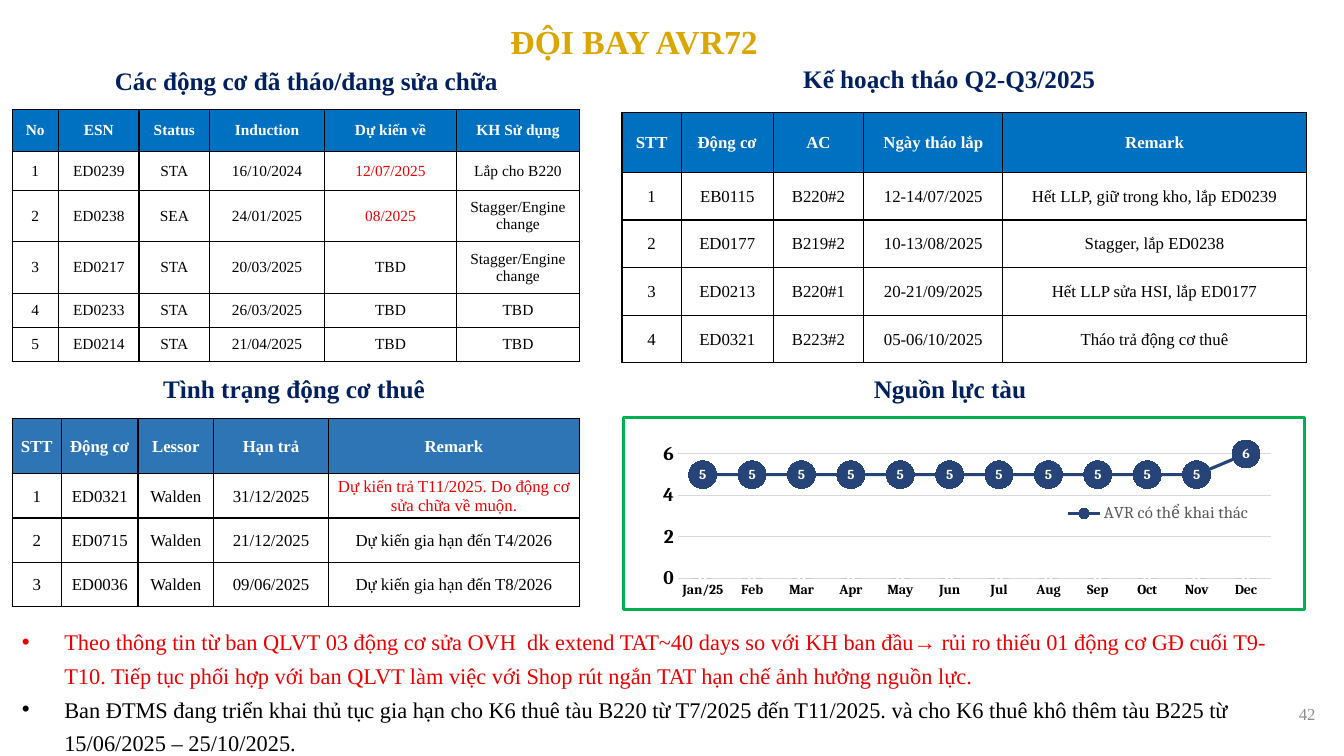
import pptx
import pptx.util
import pptx.chart.data
import pptx.dml.color
import pptx.enum.chart
import pptx.enum.text
import pptx.oxml
import pptx.oxml.ns
from lxml import etree

Pt = pptx.util.Pt
ALIGN = pptx.enum.text.PP_ALIGN
ANCHOR = pptx.enum.text.MSO_ANCHOR
qn = pptx.oxml.ns.qn
NS = pptx.oxml.ns.nsdecls("a", "c")

prs = pptx.Presentation()
prs.slide_width, prs.slide_height = pptx.util.Inches(13.33), pptx.util.Inches(7.5)
COL, ROW = prs.slide_width / 40, prs.slide_height / 30
s = prs.slides.add_slide(prs.slide_layouts[5])


def rgb(color):
    return pptx.dml.color.RGBColor.from_string(color)


def write(p, text, color, size, bold=False):
    r = p.add_run()
    r.text = text
    for key, value in {"name": "Times New Roman", "size": Pt(size), "bold": bold}.items():
        setattr(r.font, key, value)
    r.font.color.rgb = rgb(color)


title = s.shapes.title
for key, value in {"left": 9.42 * COL, "top": 0.64 * ROW, "width": 18.9 * COL, "height": 2 * ROW}.items():
    setattr(title, key, int(value))
title.text_frame.vertical_anchor = ANCHOR.TOP
title.text_frame.paragraphs[0].alignment = ALIGN.CENTER
write(title.text_frame.paragraphs[0], "ĐỘI BAY AVR72", "DAA600", 24, True)

headings = [
    ("Các động cơ đã tháo/đang sửa chữa", 3.12, 2.4, 12.12),
    ("Kế hoạch tháo Q2-Q3/2025", 23.61, 2.32, 9.39),
    ("Tình trạng động cơ thuê", 4.56, 14.6, 8.46),
    ("Nguồn lực tàu", 25.71, 14.6, 5.19),
]
for text, x, y, w in headings:
    sp = s.shapes.add_textbox(int(x * COL), int(y * ROW), int(w * COL), int(1.6 * ROW))
    sp.text_frame.word_wrap = False
    write(sp.text_frame.paragraphs[0], text, "002060", 18, True)

tables = [
    {"at": (0.36, 4.36), "cols": [1.38, 2.4, 2.1, 3.42, 3.93, 3.66],
     "rows": [1.64, 1.56, 2.04, 2.04, 1.36, 1.36],
     "size": 11, "head": "0070C0", "inset": (0.13, 0.07, 0.13, 0.07),
     "red": [(1, 4), (2, 4)],
     "cells": [
         ["No", "ESN", "Status", "Induction", "Dự kiến về", "KH Sử dụng"],
         ["1", "ED0239", "STA", "16/10/2024", "12/07/2025", "Lắp cho B220"],
         ["2", "ED0238", "SEA", "24/01/2025", "08/2025", "Stagger/Engine change"],
         ["3", "ED0217", "STA", "20/03/2025", "TBD", "Stagger/Engine change"],
         ["4", "ED0233", "STA", "26/03/2025", "TBD", "TBD"],
         ["5", "ED0214", "STA", "21/04/2025", "TBD", "TBD"]]},
    {"at": (18.51, 4.48), "cols": [1.77, 2.73, 2.7, 4.14, 9.03],
     "rows": [2.36] + [1.89] * 4,
     "size": 12, "head": "0070C0", "inset": (0.01, 0.01, 0.01, 0), "red": [],
     "cells": [
         ["STT", "Động cơ", "AC", "Ngày tháo lắp", "Remark"],
         ["1", "EB0115", "B220#2", "12-14/07/2025", "Hết LLP, giữ trong kho, lắp ED0239"],
         ["2", "ED0177", "B219#2", "10-13/08/2025", "Stagger, lắp ED0238"],
         ["3", "ED0213", "B220#1", "20-21/09/2025", "Hết LLP sửa HSI, lắp ED0177"],
         ["4", "ED0321", "B223#2", "05-06/10/2025", "Tháo trả động cơ thuê"]]},
    {"at": (0.36, 16.6), "cols": [1.47, 2.28, 2.25, 3.42, 7.47],
     "rows": [2.2] + [1.76] * 3,
     "size": 12, "head": "2E75B6", "inset": (0.01, 0.01, 0.01, 0), "red": [(1, 4)],
     "cells": [
         ["STT", "Động cơ", "Lessor", "Hạn trả", "Remark"],
         ["1", "ED0321", "Walden", "31/12/2025", "Dự kiến trả T11/2025. Do động cơ sửa chữa về muộn."],
         ["2", "ED0715", "Walden", "21/12/2025", "Dự kiến gia hạn đến T4/2026"],
         ["3", "ED0036", "Walden", "09/06/2025", "Dự kiến gia hạn đến T8/2026"]]},
]
for t in tables:
    x, y = t["at"]
    tbl = s.shapes.add_table(len(t["rows"]), len(t["cols"]), int(x * COL), int(y * ROW),
                             int(sum(t["cols"]) * COL), int(sum(t["rows"]) * ROW)).table
    tbl.first_row = tbl.horz_banding = False
    for column, w in zip(tbl.columns, t["cols"]):
        column.width = int(w * COL)
    for row, h in zip(tbl.rows, t["rows"]):
        row.height = int(h * ROW)
    for i, line in enumerate(t["cells"]):
        for j, text in enumerate(line):
            cell = tbl.cell(i, j)
            for side, inset in zip(("left", "top", "right", "bottom"), t["inset"]):
                setattr(cell, "margin_" + side, pptx.util.Inches(inset))
            cell.vertical_anchor = ANCHOR.MIDDLE
            for edge in "LRTB":
                cell._tc.get_or_add_tcPr().append(pptx.oxml.parse_xml(
                    f'<a:ln{edge} {NS} w="12700"><a:solidFill><a:srgbClr val="000000"/>'
                    f'</a:solidFill></a:ln{edge}>'))
            if i == 0:
                cell.fill.solid()
                cell.fill.fore_color.rgb = rgb(t["head"])
            else:
                cell.fill.background()
            color = "FFFFFF" if i == 0 else "ED0000" if (i, j) in t["red"] else "000000"
            p = cell.text_frame.paragraphs[0]
            p.alignment = ALIGN.CENTER
            write(p, text, color, t["size"], i == 0)

data = pptx.chart.data.CategoryChartData()
data.categories = ["Jan/25", "Feb", "Mar", "Apr", "May", "Jun", "Jul", "Aug", "Sep", "Oct", "Nov", "Dec"]
data.add_series("Series 1", [0] * 12)
data.add_series("AVR có thể khai thác", [5] * 11 + [6])
chart = s.shapes.add_chart(pptx.enum.chart.XL_CHART_TYPE.COLUMN_CLUSTERED, int(18.51 * COL), int(16.52 * ROW),
                           int(20.37 * COL), int(7.72 * ROW), data).chart
chart.has_title = False
chart.plots[0].gap_width = 150
chart.plots[0].vary_by_categories = False

bars = chart.element.find(".//" + qn("c:barChart"))
lines = pptx.oxml.parse_xml(
    f'<c:lineChart {NS}><c:grouping val="standard"/><c:varyColors val="0"/><c:marker val="1"/></c:lineChart>')
fleet = bars.findall(qn("c:ser"))[1]
for flag in fleet.findall(qn("c:invertIfNegative")):
    fleet.remove(flag)
lines.insert(2, fleet)
for axis in bars.findall(qn("c:axId")):
    etree.SubElement(lines, qn("c:axId")).set("val", axis.get("val"))
bars.addnext(lines)

zeros, fleet = chart.plots[0].series[0], chart.plots[1].series[0]
zeros.format.fill.solid()
zeros.format.fill.fore_color.rgb = rgb("43682B")
fleet.smooth = False
fleet.format.line.width = Pt(2.25)
fleet.marker.style = pptx.enum.chart.XL_MARKER_STYLE.CIRCLE
fleet.marker.size = 20
fleet.marker.format.fill.solid()
fleet.marker.format.fill.fore_color.rgb = rgb("264478")
for line in (fleet.format.line, fleet.marker.format.line):
    line.color.rgb = rgb("264478")
for series in (zeros, fleet):
    series.data_labels.show_value = True
    series.data_labels.position = pptx.enum.chart.XL_LABEL_POSITION.CENTER

cat, val = chart.category_axis, chart.value_axis
for key, value in {"minimum_scale": 0, "maximum_scale": 7, "major_unit": 2, "has_major_gridlines": True}.items():
    setattr(val, key, value)
val.format.line.fill.background()
for axis in (cat, val):
    axis.major_tick_mark = pptx.enum.chart.XL_TICK_MARK.NONE
for line in (cat.format.line, val.major_gridlines.format.line):
    line.color.rgb = rgb("D9D9D9")
    line.width = Pt(0.75)

chart.has_legend = True
chart.legend.position = pptx.enum.chart.XL_LEGEND_POSITION.RIGHT
chart.legend.include_in_layout = False
fonts = [
    (chart.font, 10, "000000", False),
    (cat.tick_labels.font, 10, "000000", True),
    (val.tick_labels.font, 14, "000000", True),
    (zeros.data_labels.font, 11, "FFFFFF", True),
    (fleet.data_labels.font, 10, "FFFFFF", True),
    (chart.legend.font, 12, "595959", False),
]
for font, size, color, bold in fonts:
    for key, value in {"name": "Cambria", "size": Pt(size), "bold": bold}.items():
        setattr(font, key, value)
    font.color.rgb = rgb(color)

plot = chart.element.find(".//" + qn("c:plotArea"))
legend = chart.element.find(".//" + qn("c:legend"))
for part in (plot, legend):
    for old in part.findall(qn("c:layout")):
        part.remove(old)
legend_pos = legend.find(qn("c:legendPos"))
layouts = [("inner", (0.08, 0.08, 0.87, 0.76)), ("", (0.64, 0.43, 0.29, 0.14))]
for target, shares in layouts:
    inner = '<c:layoutTarget val="inner"/>' if target else ""
    modes = '<c:xMode val="edge"/><c:yMode val="edge"/>'
    sizes = "".join(f'<c:{k} val="{v}"/>' for k, v in zip("xywh", shares))
    layout = pptx.oxml.parse_xml(
        f'<c:layout {NS}><c:manualLayout>{inner}{modes}{sizes}</c:manualLayout></c:layout>')
    if target:
        plot.insert(0, layout)
    else:
        legend_pos.addnext(layout)
legend_pos.addnext(pptx.oxml.parse_xml(
    f'<c:legendEntry {NS}><c:idx val="0"/><c:delete val="1"/></c:legendEntry>'))
chart.element.find(qn("c:chart")).addnext(pptx.oxml.parse_xml(
    f'<c:spPr {NS}><a:noFill/><a:ln w="28575"><a:solidFill><a:srgbClr val="00B050"/>'
    '</a:solidFill></a:ln></c:spPr>'))

notes = [
    ("Theo thông tin từ ban QLVT 03 động cơ sửa OVH  dk extend TAT~40 days so với KH ban đầu→ rủi ro thiếu 01 "
     "động cơ GĐ cuối T9-T10. Tiếp tục phối hợp với ban QLVT làm việc với Shop rút ngắn TAT hạn chế ảnh hưởng "
     "nguồn lực.", "ED0000"),
    ("Ban ĐTMS đang triển khai thủ tục gia hạn cho K6 thuê tàu B220 từ T7/2025 đến T11/2025. và cho K6 thuê khô "
     "thêm tàu B225 từ 15/06/2025 – 25/10/2025.", "000000"),
]
tf = s.shapes.add_textbox(int(0.36 * COL), int(24.48 * ROW), int(38.61 * COL), int(5.68 * ROW)).text_frame
tf.word_wrap = True
for i, (text, color) in enumerate(notes):
    p = tf.add_paragraph() if i else tf.paragraphs[0]
    pPr = p._p.get_or_add_pPr()
    indent = pptx.util.Inches(0.42)
    pPr.set("marL", str(int(indent)))
    pPr.set("indent", str(-int(indent)))
    etree.SubElement(pPr, qn("a:buFont")).set("typeface", "Arial")
    etree.SubElement(pPr, qn("a:buChar")).set("char", "•")
    p.line_spacing = 1.25
    write(p, text, color, 16)

tf = s.shapes.add_textbox(int(37.05 * COL), int(27.2 * ROW), int(2.4 * COL), int(2.28 * ROW)).text_frame
tf.vertical_anchor = ANCHOR.MIDDLE
tf.word_wrap = True
tf.paragraphs[0].alignment = ALIGN.RIGHT
write(tf.paragraphs[0], "42", "8C8C8C", 12)

prs.save("out.pptx")
